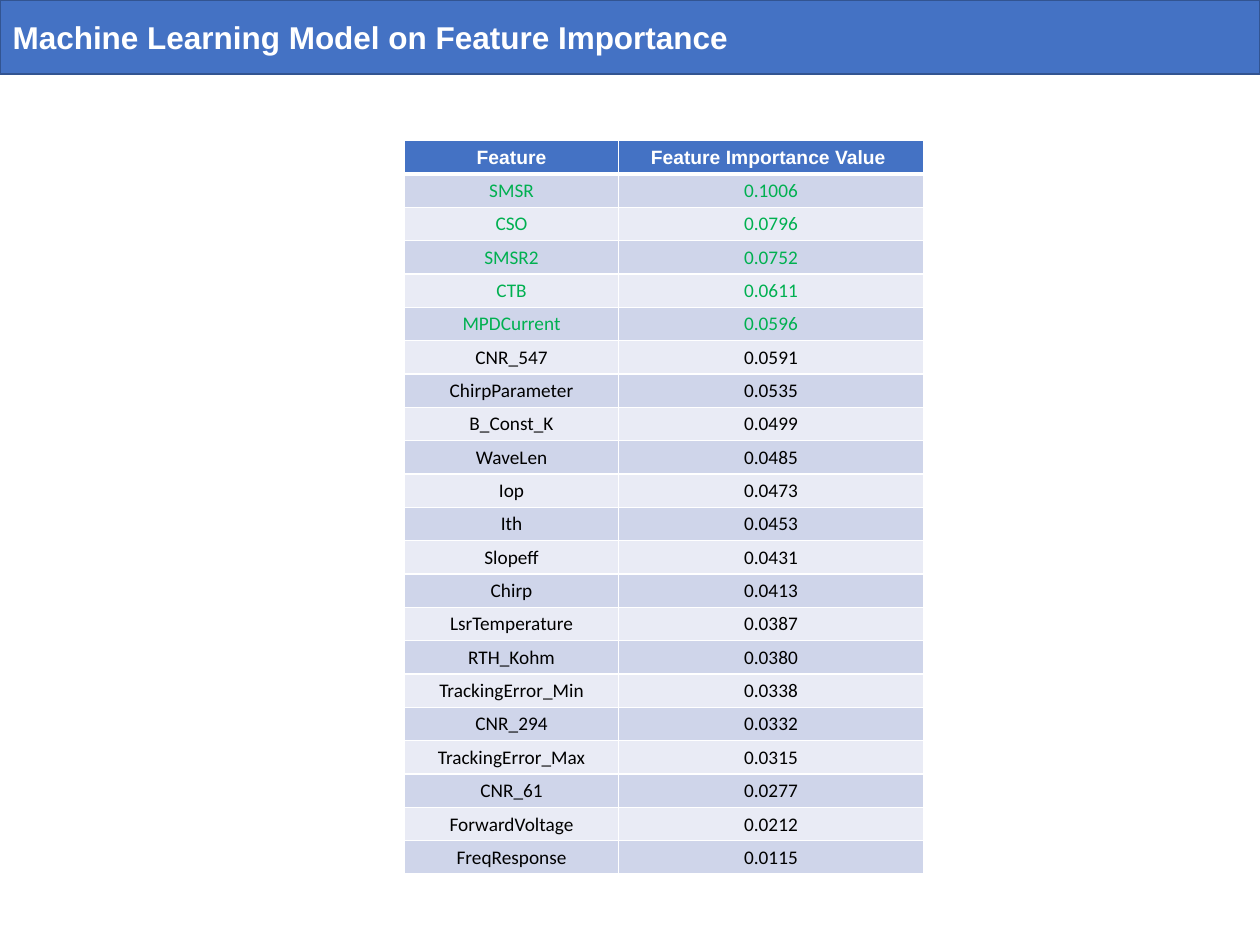
from dataclasses import dataclass

from lxml.etree import SubElement
from pptx import Presentation
from pptx.dml.color import RGBColor
from pptx.enum.shapes import MSO_SHAPE
from pptx.enum.text import MSO_ANCHOR, MSO_AUTO_SIZE, PP_ALIGN
from pptx.oxml.ns import qn
from pptx.util import Pt


@dataclass(frozen=True)
class Theme:
    """Colours, fonts and type sizes of the deck."""
    blue: str = "4472C4"
    edge: str = "325491"
    white: str = "FFFFFF"
    black: str = "000000"
    green: str = "00B050"
    bands: tuple = ("CFD5EA", "E9EBF5")
    head: str = "Arial"
    body: str = "Calibri"
    title: float = 18
    cell: float = 11


THEME = Theme()
TOP = 5  # leading features shown in green
HEADS = ("Feature", "Feature Importance Value ")
ROWS = (
    ("SMSR", "0.1006"), ("CSO", "0.0796"), ("SMSR2", "0.0752"),
    ("CTB", "0.0611"), ("MPDCurrent", "0.0596"), ("CNR_547", "0.0591"),
    ("ChirpParameter", "0.0535"), ("B_Const_K", "0.0499"),
    ("WaveLen", "0.0485"), ("Iop", "0.0473"), ("Ith", "0.0453"),
    ("Slopeff", "0.0431"), ("Chirp", "0.0413"),
    ("LsrTemperature", "0.0387"), ("RTH_Kohm", "0.0380"),
    ("TrackingError_Min", "0.0338"), ("CNR_294", "0.0332"),
    ("TrackingError_Max", "0.0315"), ("CNR_61", "0.0277"),
    ("ForwardVoltage", "0.0212"), ("FreqResponse", "0.0115"),
)


def paint(fill, color):
    """Give a fill one solid colour."""
    fill.solid()
    fill.fore_color.rgb = RGBColor.from_string(color)


def write(frame, text, align, face, size, color, bold=False):
    """Add one styled run to the first paragraph of a text frame."""
    para = frame.paragraphs[0]
    para.alignment = align
    run = para.add_run()
    run.text = text
    font = run.font
    font.name, font.size, font.bold = face, Pt(size), bold
    font.color.rgb = RGBColor.from_string(color)


def rule(cell, top, base):
    """Draw white cell borders, with the given top and bottom widths."""
    props = cell._tc.get_or_add_tcPr()
    sides = (("L", 1), ("R", 1), ("T", top), ("B", base))
    for spot, (side, width) in enumerate(sides):
        line = SubElement(props, qn(f"a:ln{side}"), w=str(Pt(width)))
        fill = SubElement(line, qn("a:solidFill"))
        SubElement(fill, qn("a:srgbClr"), val=THEME.white)
        props.insert(spot, line)


def banner(slide, text, left, top, width, height):
    """Draw the title bar and set the title placeholder on it."""
    bar = slide.shapes.add_shape(
        MSO_SHAPE.RECTANGLE, Pt(left), Pt(top), Pt(width), Pt(height))
    bar.shadow.inherit = False
    paint(bar.fill, THEME.blue)
    paint(bar.line.fill, THEME.edge)
    bar.line.width = Pt(1)

    title = slide.shapes.title
    bar.element.addnext(title.element)
    title.left, title.top = Pt(left), Pt(top + 6.5)
    title.width, title.height = Pt(width * 0.9), Pt(29)
    frame = title.text_frame
    frame.word_wrap = True
    frame.auto_size = MSO_AUTO_SIZE.SHAPE_TO_FIT_TEXT
    frame.vertical_anchor = MSO_ANCHOR.TOP
    write(frame, text, PP_ALIGN.LEFT, THEME.head, THEME.title,
          THEME.white, True)


def ranking(slide, left, top, widths, first, step):
    """Build the ranked table: a header row, then banded rows."""
    lines = (HEADS, *ROWS)
    high = first + step * len(ROWS)
    table = slide.shapes.add_table(
        len(lines), len(widths), Pt(left), Pt(top),
        Pt(sum(widths)), Pt(high)).table
    for col, width in zip(table.columns, widths):
        col.width = Pt(width)
    for num, texts in enumerate(lines):
        table.rows[num].height = Pt(step if num else first)
        if num == 0:
            fill, style = THEME.blue, (THEME.head, THEME.cell, THEME.white, True)
        else:
            fill = THEME.bands[(num - 1) % 2]
            ink = THEME.green if num <= TOP else THEME.black
            style = (THEME.body, THEME.cell, ink)
        for cell, text in zip(table.rows[num].cells, texts):
            cell.vertical_anchor = MSO_ANCHOR.MIDDLE
            cell.margin_left = cell.margin_right = cell.margin_top = Pt(0.5)
            cell.margin_bottom = 0
            paint(cell.fill, fill)
            rule(cell, 3 if num == 1 else 1, 3 if num == 0 else 1)
            write(cell.text_frame, text, PP_ALIGN.CENTER, *style)


def main():
    """Build and save the slide."""
    deck = Presentation()
    deck.slide_width, deck.slide_height = Pt(720), Pt(540)
    slide = deck.slides.add_slide(deck.slide_layouts[5])
    banner(slide, "Machine Learning Model on Feature Importance",
           0, 0, 720, 42.5)
    ranking(slide, 231.2, 80, (122.3, 174.2), 19.4, 19.05)
    deck.save("out.pptx")


main()
